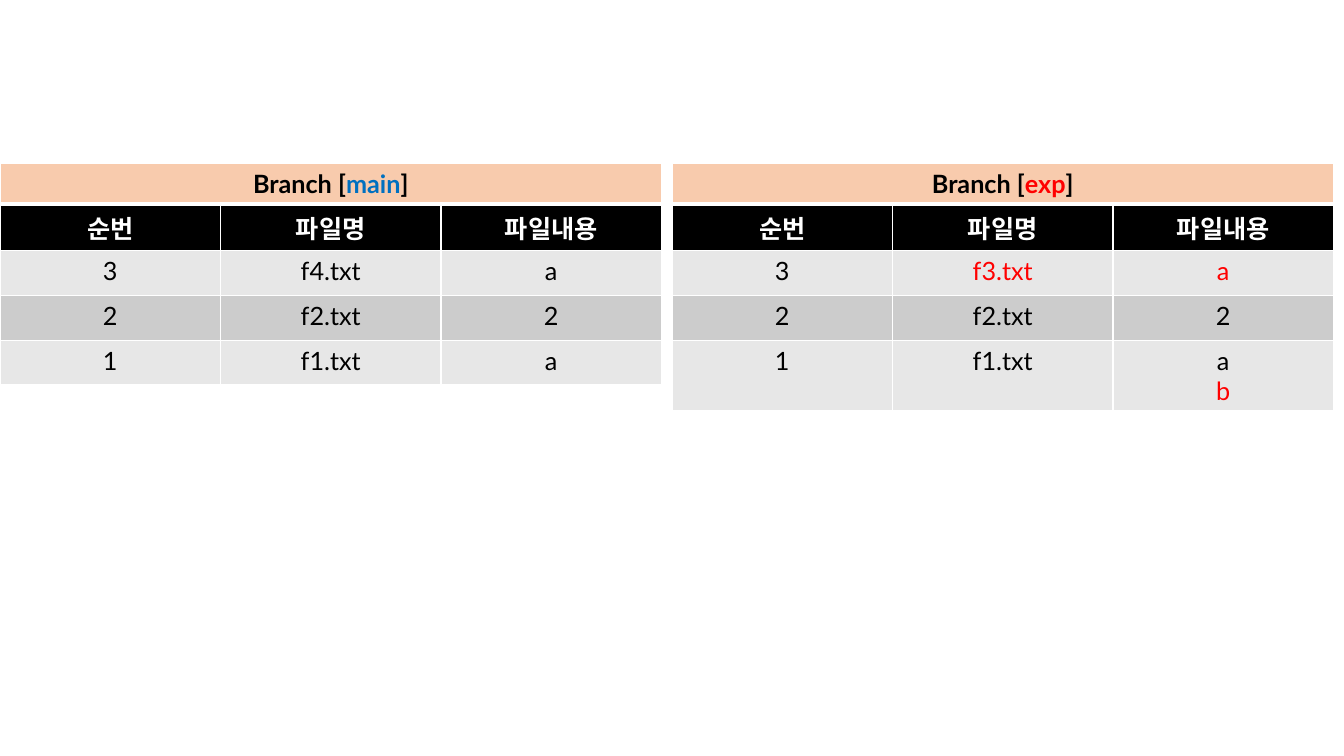
"""Draw the file tables of two branches side by side."""
from dataclasses import dataclass

import lxml.etree
import pptx
import pptx.dml.color
import pptx.enum.text
import pptx.oxml.ns
import pptx.table
import pptx.text.text
import pptx.util

Pt = pptx.util.Pt
Color = pptx.dml.color.RGBColor
qn = pptx.oxml.ns.qn

WHITE = Color(0xFF, 0xFF, 0xFF)
BLACK = Color(0x00, 0x00, 0x00)
BLUE = Color(0x00, 0x70, 0xC0)
RED = Color(0xFF, 0x00, 0x00)
PEACH = Color(0xF8, 0xCB, 0xAD)
LIGHT = Color(0xE7, 0xE7, 0xE7)
DARK = Color(0xCC, 0xCC, 0xCC)

LATIN = "Lato"
KOREAN = "Noto Sans CJK KR"
HEADS = ("순번", "파일명", "파일내용")
CHANGED = "+"
TOP = Pt(117)
WIDTH = Pt(157.5)
HEIGHTS = (Pt(28.5), Pt(33), Pt(32), Pt(32), Pt(32))


@dataclass(frozen=True)
class Branch:
    """A branch, its name colour, place and files; a plus marks a change."""
    name: str
    tint: Color
    left: pptx.util.Length
    files: tuple[tuple[str, str, str], ...]


BRANCHES = (
    Branch("main", BLUE, Pt(0),
           (("3", "f4.txt", "a"), ("2", "f2.txt", "2"), ("1", "f1.txt", "a"))),
    Branch("exp", RED, Pt(480),
           (("3", "+f3.txt", "+a"), ("2", "f2.txt", "2"), ("1", "f1.txt", "a\n+b"))),
)


def style(run: pptx.text.text._Run, color: Color, bold: bool, face: str = LATIN) -> None:
    """Format a run, with one face for Latin and East Asian text."""
    font = run.font
    font.size = Pt(18)
    font.bold = bold
    font.name = face
    font.color.rgb = color
    lxml.etree.SubElement(font._element, qn("a:ea"), typeface=face)


def paint(cell: pptx.table._Cell, fill: Color, over: int = 1, under: int = 1) -> None:
    """Give a cell white borders, with top and bottom widths, and a fill."""
    props = cell._tc.get_or_add_tcPr()
    for side, width in (("L", 1), ("R", 1), ("T", over), ("B", under)):
        line = lxml.etree.SubElement(props, qn(f"a:ln{side}"), w=str(Pt(width)))
        solid = lxml.etree.SubElement(line, qn("a:solidFill"))
        lxml.etree.SubElement(solid, qn("a:srgbClr"), val=str(WHITE))
    cell.fill.solid()
    cell.fill.fore_color.rgb = fill


def center(cell: pptx.table._Cell) -> None:
    """Centre each paragraph of a cell."""
    for para in cell.text_frame.paragraphs:
        para.alignment = pptx.enum.text.PP_ALIGN.CENTER


def add_title(table: pptx.table.Table, branch: Branch) -> None:
    """Fill the merged top row with the branch name."""
    for cell in table.rows[0].cells:
        paint(cell, PEACH, under=3)
    first = table.cell(0, 0)
    first.merge(table.cell(0, len(HEADS) - 1))
    para = first.text_frame.paragraphs[0]
    for text, color in (("Branch [", BLACK), (branch.name, branch.tint), ("]", BLACK)):
        run = para.add_run()
        run.text = text
        style(run, color, True)
    center(first)


def add_heads(table: pptx.table.Table) -> None:
    """Fill the row of column heads."""
    for cell, text in zip(table.rows[1].cells, HEADS):
        paint(cell, BLACK, over=3)
        cell.text_frame.text = text
        style(cell.text_frame.paragraphs[0].runs[0], WHITE, True, KOREAN)
        center(cell)


def add_file(cell: pptx.table._Cell, text: str, fill: Color) -> None:
    """Fill a body cell, with changed lines in red."""
    paint(cell, fill)
    lines = text.split("\n")
    cell.text_frame.text = "\n".join(line.removeprefix(CHANGED) for line in lines)
    for para, line in zip(cell.text_frame.paragraphs, lines):
        style(para.runs[0], RED if line.startswith(CHANGED) else BLACK, False)
    center(cell)


def add_branch(slide: pptx.slide.Slide, branch: Branch) -> None:
    """Add the whole table of a branch."""
    table = slide.shapes.add_table(len(HEIGHTS), len(HEADS), branch.left, TOP,
                                   WIDTH * len(HEADS), sum(HEIGHTS)).table
    table.first_row = table.horz_banding = False
    for col in table.columns:
        col.width = WIDTH
    for row, height in zip(table.rows, HEIGHTS):
        row.height = height
    add_title(table, branch)
    add_heads(table)
    for index, file in enumerate(branch.files):
        for col, text in enumerate(file):
            add_file(table.cell(index + 2, col), text, DARK if index % 2 else LIGHT)


def main() -> None:
    """Build and save the slide."""
    deck = pptx.Presentation()
    deck.slide_width, deck.slide_height = Pt(960), Pt(540)
    slide = deck.slides.add_slide(deck.slide_layouts[6])
    for branch in BRANCHES:
        add_branch(slide, branch)
    deck.save("out.pptx")


main()
